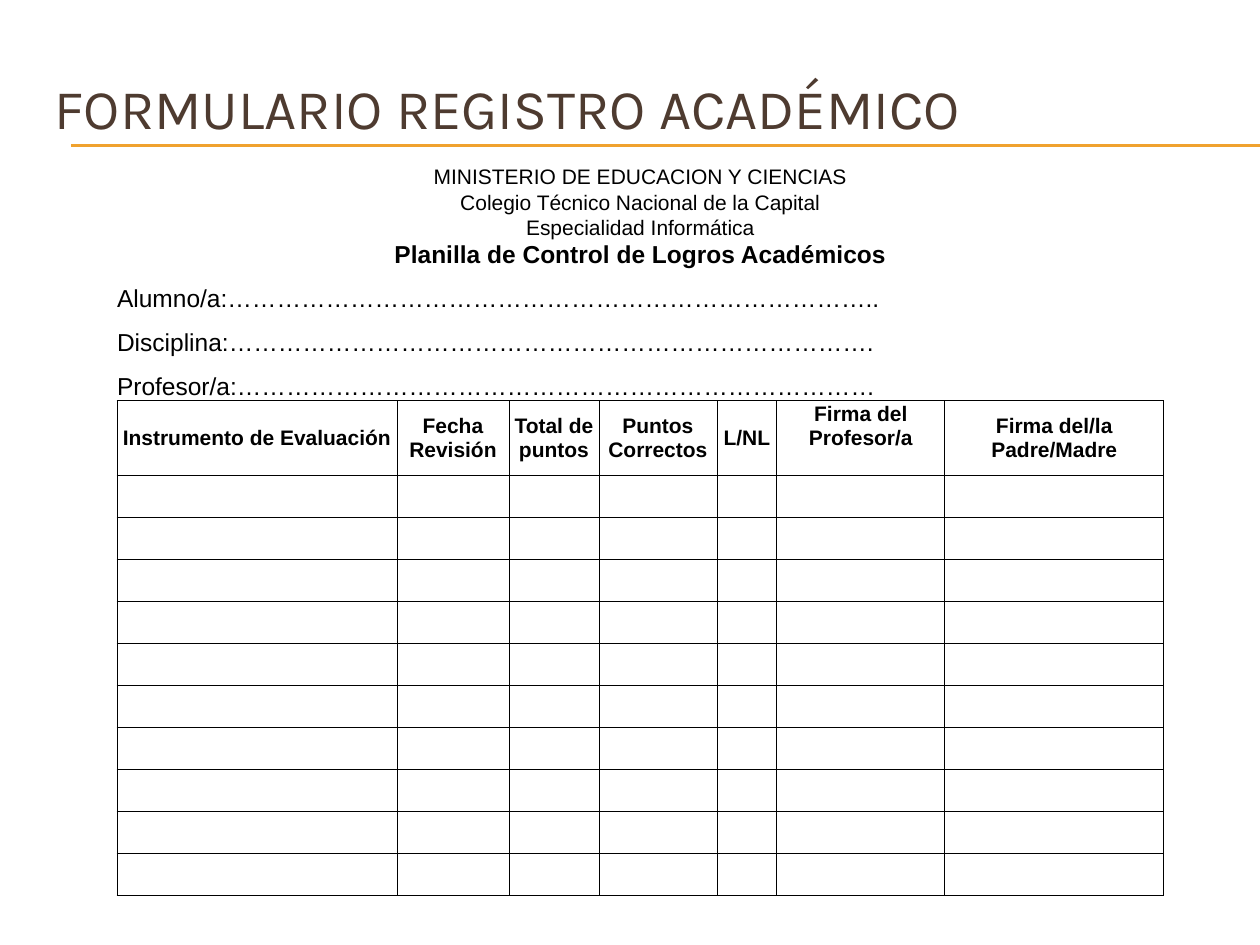
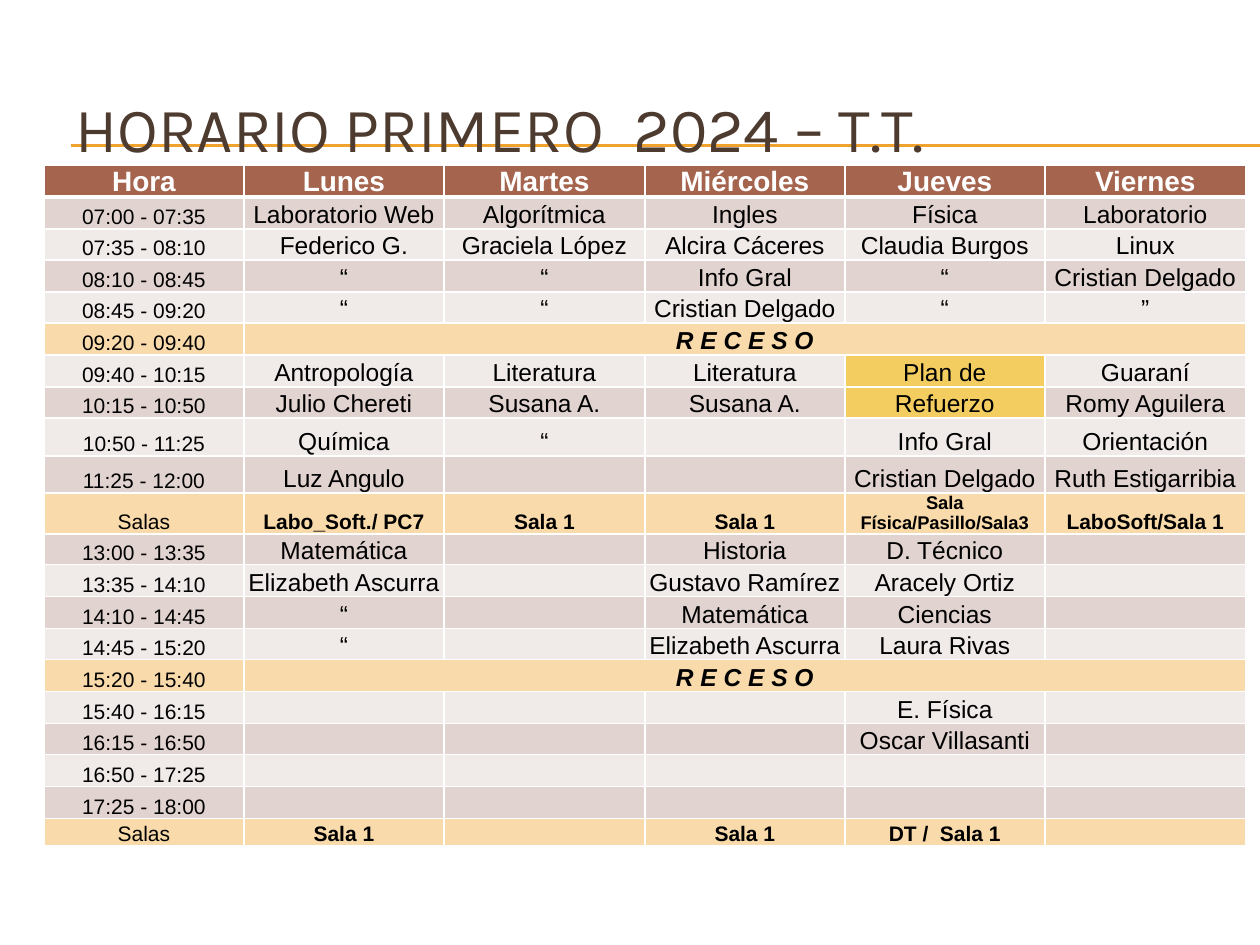
from lxml.etree import SubElement
from pptx import Presentation
from pptx.dml.color import RGBColor
from pptx.enum.shapes import MSO_CONNECTOR
from pptx.enum.text import MSO_ANCHOR, MSO_AUTO_SIZE, PP_ALIGN
from pptx.oxml.ns import qn
from pptx.util import Emu, Pt

PIXEL = 914400 / 126
BROWN = RGBColor(0x4E, 0x3B, 0x30)
AMBER = RGBColor(0xF0, 0xA2, 0x2E)
BLACK = RGBColor(0x00, 0x00, 0x00)
WHITE = RGBColor(0xFF, 0xFF, 0xFF)
RUST = RGBColor(0xA5, 0x64, 0x4E)
DARK_BAND = RGBColor(0xE1, 0xD3, 0xD0)
LIGHT_BAND = RGBColor(0xF0, 0xEA, 0xE9)
PEACH = RGBColor(0xF9, 0xDA, 0xAB)
YELLOW = RGBColor(0xF3, 0xCD, 0x60)
TITLE_FONT = "Karla"
TABLE_FONT = "Arial"
NO_TABLE_STYLE = "{2D5ABB26-0587-4C30-8999-92F81FD0307C}"
ALL_SIDES = "LRTB"

LETTERHEAD = [
    ("MINISTERIO DE EDUCACION Y CIENCIAS", 25),
    ("Colegio Técnico Nacional de la Capital", 26),
    ("Especialidad Informática", 25),
    ("Planilla de Control de Logros Académicos", 28),
]
FORM_FIELDS = [
    "Alumno/a:……………………………………………………………………..",
    "Disciplina:…………………………………………………………………….",
    "Profesor/a:……………………………………………………………………",
]
FORM_COLUMNS = [
    ("Instrumento de Evaluación", 280),
    ("Fecha Revisión", 112),
    ("Total de puntos", 90),
    ("Puntos Correctos", 118),
    ("L/NL", 60),
    ("Firma del Profesor/a", 168),
    ("Firma del/la Padre/Madre", 219),
]
EMPTY_FORM_ROWS = 10

RECESS = "R E C E S O"
ROOMS = "Salas"
SMALL_ROOM = "Sala Física/Pasillo/Sala3"
REINFORCEMENT = ("Plan de", "Refuerzo")
SCHEDULE = [
    (32, ["Hora", "Lunes", "Martes", "Miércoles", "Jueves", "Viernes"]),
    (32, ["07:00 - 07:35", "Laboratorio Web", "Algorítmica", "Ingles", "Física", "Laboratorio"]),
    (31, ["07:35 - 08:10", "Federico G.", "Graciela López", "Alcira Cáceres", "Claudia Burgos", "Linux"]),
    (32, ["08:10 - 08:45", "“", "“", "Info Gral", "“", "Cristian Delgado"]),
    (31, ["08:45 - 09:20", "“", "“", "Cristian Delgado", "“", "”"]),
    (32, ["09:20 - 09:40", RECESS, "", "", "", ""]),
    (32, ["09:40 - 10:15", "Antropología", "Literatura", "Literatura", "Plan de", "Guaraní"]),
    (31, ["10:15 - 10:50", "Julio Chereti", "Susana A.", "Susana A.", "Refuerzo", "Romy Aguilera"]),
    (38, ["10:50 - 11:25", "Química", "“", "", "Info Gral", "Orientación"]),
    (37, ["11:25 - 12:00", "Luz Angulo", "", "", "Cristian Delgado", "Ruth Estigarribia"]),
    (41, [ROOMS, "Labo_Soft./ PC7", "Sala 1", "Sala 1", SMALL_ROOM, "LaboSoft/Sala 1"]),
    (31, ["13:00 - 13:35", "Matemática", "", "Historia", "D. Técnico", ""]),
    (32, ["13:35 - 14:10", "Elizabeth Ascurra", "", "Gustavo Ramírez", "Aracely Ortiz", ""]),
    (32, ["14:10 - 14:45", "“", "", "Matemática", "Ciencias", ""]),
    (31, ["14:45 - 15:20", "“", "", "Elizabeth Ascurra", "Laura Rivas", ""]),
    (32, ["15:20 - 15:40", RECESS, "", "", "", ""]),
    (32, ["15:40 - 16:15", "", "", "", "E. Física", ""]),
    (31, ["16:15 - 16:50", "", "", "", "Oscar Villasanti", ""]),
    (32, ["16:50 - 17:25", "", "", "", "", ""]),
    (32, ["17:25 - 18:00", "", "", "", "", ""]),
    (27, [ROOMS, "Sala 1", "", "Sala 1", "DT /  Sala 1", ""]),
]


def px(length):
    return Emu(round(length * PIXEL))


def write_text(text_frame, text, font=TABLE_FONT, size=12, color=BLACK,
               bold=False, italic=False, align=PP_ALIGN.CENTER):
    paragraph = text_frame.paragraphs[0]
    paragraph.alignment = align
    if not text:
        SubElement(paragraph._p, qn("a:endParaRPr"), sz=str(size * 100))
        return
    run = paragraph.add_run()
    run.text = text
    run.font.name = font
    run.font.size = Pt(size)
    run.font.color.rgb = color
    run.font.bold = bold
    run.font.italic = italic


class SlideBuilder:
    def __init__(self, presentation):
        self.presentation = presentation
        self.slide = None

    def new_slide(self):
        self.slide = self.presentation.slides.add_slide(self.presentation.slide_layouts[5])
        for y in (145, 146):
            self.line(71, y, 1260, y)

    def line(self, left, top, right, bottom):
        connector = self.slide.shapes.add_connector(
            MSO_CONNECTOR.STRAIGHT, px(left), px(top), px(right), px(bottom))
        connector.line.color.rgb = AMBER
        connector.line.width = Pt(0.75)
        SubElement(connector._element.spPr, qn("a:effectLst"))
        self.slide.shapes._spTree.insert(2, connector._element)

    def title(self, text, left, top, size):
        title = self.slide.shapes.title
        title.left, title.top, title.width, title.height = px(left), px(top), px(1197), px(116)
        text_frame = title.text_frame
        text_frame.word_wrap = True
        text_frame.auto_size = MSO_AUTO_SIZE.NONE
        text_frame.vertical_anchor = MSO_ANCHOR.MIDDLE
        write_text(text_frame, text, font=TITLE_FONT, size=size, color=BROWN, align=PP_ALIGN.LEFT)

    def table(self, left, top, widths, heights):
        frame = self.slide.shapes.add_table(
            len(heights), len(widths), px(left), px(top), px(sum(widths)), px(sum(heights)))
        table = frame.table
        table.first_row = table.horz_banding = False
        table._tbl.tblPr.find(qn("a:tableStyleId")).text = NO_TABLE_STYLE
        for column, width in zip(table.columns, widths):
            column.width = px(width)
        for row, height in zip(table.rows, heights):
            row.height = px(height)
        return table

    def cell(self, cell, text, anchor=MSO_ANCHOR.MIDDLE, fill=None, bottom_margin=0, **text_format):
        cell.margin_left = cell.margin_right = cell.margin_top = 0
        cell.margin_bottom = px(bottom_margin)
        cell.vertical_anchor = anchor
        if fill is None:
            cell.fill.background()
        else:
            cell.fill.solid()
            cell.fill.fore_color.rgb = fill
        write_text(cell.text_frame, text, **text_format)

    def borders(self, cell, color, width, thick_sides="", thick_width=3):
        properties = cell._tc.get_or_add_tcPr()
        for side in ALL_SIDES:
            points = thick_width if side in thick_sides else width
            line = SubElement(properties, qn(f"a:ln{side}"), w=str(Pt(points)))
            solid = SubElement(line, qn("a:solidFill"))
            SubElement(solid, qn("a:srgbClr"), val=str(color))


def build_form(builder):
    builder.new_slide()
    widths = [width for _, width in FORM_COLUMNS]
    heights = [height for _, height in LETTERHEAD] + [44] * len(FORM_FIELDS)
    header_row = len(heights)
    heights += [75] + [42] * EMPTY_FORM_ROWS
    table = builder.table(117, 165, widths, heights)
    last_column = len(widths) - 1
    for row in range(header_row):
        table.cell(row, 0).merge(table.cell(row, last_column))
    for row, (text, _) in enumerate(LETTERHEAD):
        is_heading = row == len(LETTERHEAD) - 1
        builder.cell(table.cell(row, 0), text, size=14 if is_heading else 12, bold=is_heading)
    for row, text in enumerate(FORM_FIELDS, len(LETTERHEAD)):
        builder.cell(table.cell(row, 0), text, anchor=MSO_ANCHOR.BOTTOM, size=14, align=PP_ALIGN.LEFT)
    for row in range(header_row, len(heights)):
        for column, (label, _) in enumerate(FORM_COLUMNS):
            cell = table.cell(row, column)
            builder.borders(cell, BLACK, 0.5)
            is_header = row == header_row
            raised = is_header and label == "Firma del Profesor/a"
            builder.cell(cell, label if is_header else "", bold=True, bottom_margin=24 if raised else 0)
    builder.title("FORMULARIO REGISTRO ACADÉMICO", 42, 49, 32)


def schedule_format(row, column, values):
    text = values[column]
    if row == 0:
        return dict(fill=RUST, size=16, color=WHITE, bold=True)
    is_recess = RECESS in values
    is_rooms = values[0] == ROOMS
    if is_recess or is_rooms:
        fill = PEACH
    elif text in REINFORCEMENT:
        fill = YELLOW
    else:
        fill = DARK_BAND if row % 2 else LIGHT_BAND
    if column == 0:
        return dict(fill=fill, size=12)
    if is_rooms:
        return dict(fill=fill, size=10.5 if text == SMALL_ROOM else 12, bold=True)
    return dict(fill=fill, size=14, bold=is_recess, italic=is_recess)


def build_schedule(builder):
    builder.new_slide()
    builder.title("HORARIO PRIMERO  2024 – T.T.", 63, 69, 36)
    table = builder.table(44, 165, [200, 200, 201] * 2, [height for height, _ in SCHEDULE])
    thick_sides = {0: "B", 1: "T"}
    for row, (_, values) in enumerate(SCHEDULE):
        if RECESS in values:
            table.cell(row, 1).merge(table.cell(row, len(values) - 1))
        for column, text in enumerate(values):
            cell = table.cell(row, column)
            builder.borders(cell, WHITE, 1, thick_sides.get(row, ""))
            builder.cell(cell, text, anchor=MSO_ANCHOR.BOTTOM, **schedule_format(row, column, values))


def main():
    presentation = Presentation()
    presentation.slide_width = px(1260)
    presentation.slide_height = px(945)
    builder = SlideBuilder(presentation)
    build_form(builder)
    build_schedule(builder)
    presentation.save("out.pptx")


if __name__ == "__main__":
    main()
